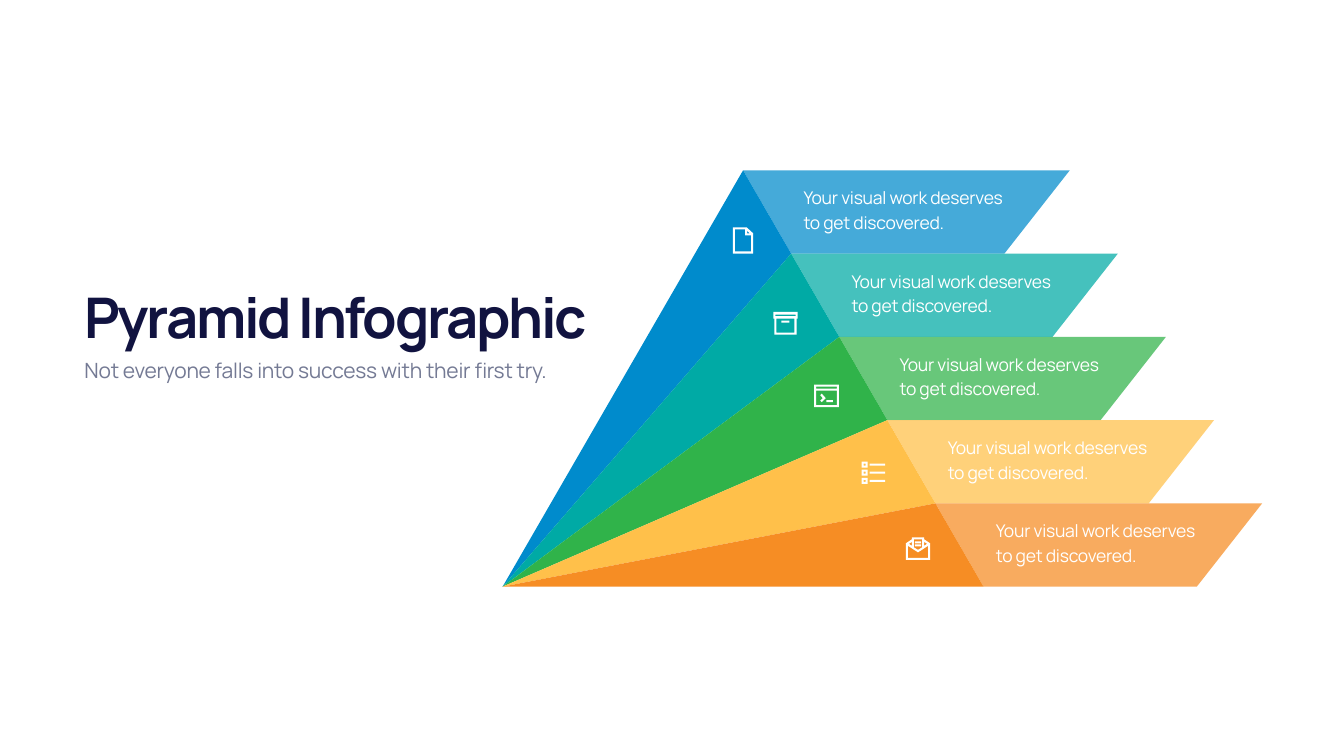
from lxml import etree
from pptx import Presentation
from pptx.dml.color import RGBColor
from pptx.enum.text import MSO_ANCHOR, MSO_AUTO_SIZE, PP_ALIGN
from pptx.oxml.ns import qn
from pptx.util import Inches, Pt

LEFT, CENTER = PP_ALIGN.LEFT, PP_ALIGN.CENTER
TOP, BOTTOM = MSO_ANCHOR.TOP, MSO_ANCHOR.BOTTOM

FONT = "Manrope"
WHITE = RGBColor(0xFF, 0xFF, 0xFF)
NAVY = RGBColor(0x11, 0x13, 0x40)
GREY = RGBColor(0x74, 0x7A, 0x94)
BLUE = RGBColor(0x00, 0x8B, 0xCC)
TEAL = RGBColor(0x00, 0xAA, 0xA5)
GREEN = RGBColor(0x30, 0xB3, 0x4A)
YELLOW = RGBColor(0xFF, 0xC0, 0x4A)
ORANGE = RGBColor(0xF6, 0x8D, 0x24)


def box(left, top, right, bottom):
    return [(left, top), (right, top), (right, bottom), (left, bottom)]


# Icon outlines in hundredths of an inch; nested outlines cut holes
DOCUMENT = [
    [(0, 0), (27, 0), (40, 12), (40, 52), (0, 52)],
    [(4, 4), (24, 4), (24, 16), (36, 16), (36, 48), (4, 48)],
    [(28, 7), (33, 12), (28, 12)],
]
ARCHIVE = [
    [(0, 0), (48, 0), (48, 13), (46, 13), (46, 45), (2, 45), (2, 13), (0, 13)],
    box(4, 5, 44, 8), box(6, 13, 42, 41), box(16, 17, 32, 21),
]
TERMINAL = [
    box(0, 0, 49, 45), box(4, 4, 45, 8), box(4, 12, 45, 41), box(24, 31, 37, 35),
    [(15, 18), (12, 21), (17, 27), (12, 32), (15, 35), (23, 27)],
]
CHECKLIST = [
    outline
    for row in (0, 16, 32)
    for outline in (box(0, row, 12, row + 12), box(4, row + 4, 8, row + 8),
                    box(16, row + 4, 47, row + 8))
]
MAIL = [
    [(12, 0), (36, 0), (36, 4), (48, 12), (48, 45), (0, 45), (0, 12), (12, 4)],
    [(4, 17), (24, 30), (44, 17), (44, 41), (4, 41)],
    [(16, 4), (32, 4), (32, 20), (24, 25), (16, 20)],
    box(18, 8, 30, 12), box(18, 14, 30, 18),
    [(36, 9), (42, 13), (36, 17)], [(12, 9), (12, 17), (6, 13)],
]

# Content: colour, label, icon, icon position
TITLE = "Pyramid Infographic"
SUBTITLE = "Not everyone falls into success with their first try."
LABEL = "Your visual work deserves to get discovered."
TIERS = [
    (BLUE, LABEL, DOCUMENT, (14.54, 4.51)),
    (TEAL, LABEL, ARCHIVE, (15.34, 6.19)),
    (GREEN, LABEL, TERMINAL, (16.15, 7.63)),
    (YELLOW, LABEL, CHECKLIST, (17.09, 9.16)),
    (ORANGE, LABEL, MAIL, (17.97, 10.66)),
]

# Pyramid geometry in inches
APEX_X, APEX_Y = 14.74, 3.38
CORNER = (9.97, 11.64)
BASE_RIGHT = 19.51
STEP_X = (BASE_RIGHT - APEX_X) / len(TIERS)
STEP_Y = (CORNER[1] - APEX_Y) / len(TIERS)
BAND_TOP, BAND_BOTTOM = 6.48, 4.23
BAND_OPACITY = 73

prs = Presentation()
prs.slide_width, prs.slide_height = Inches(26.66), Inches(15)
slide = prs.slides.add_slide(prs.slide_layouts[0])


def draw(outlines, color, opacity=100):
    """Fill one freeform made of closed outlines given in inches."""
    points = [[(Inches(x), Inches(y)) for x, y in outline] for outline in outlines]
    builder = slide.shapes.build_freeform(*points[0][0], scale=1.0)
    builder.add_line_segments(points[0][1:], close=True)
    for outline in points[1:]:
        builder.move_to(*outline[0])
        builder.add_line_segments(outline[1:], close=True)
    shape = builder.convert_to_shape()
    shape.shadow.inherit = False
    shape.line.fill.background()
    shape.fill.solid()
    shape.fill.fore_color.rgb = color
    if opacity < 100:
        tint = shape.fill._xPr.find(".//" + qn("a:srgbClr"))
        etree.SubElement(tint, qn("a:alpha"), val=str(opacity * 1000))


def write(text, at, holder=None, size=25, color=WHITE, bold=False, leading=35,
          tracking=-0.3, align=LEFT, anchor=TOP, wrap=True):
    """Write text into a placeholder or a new text box."""
    at = [Inches(length) for length in at]
    holder = holder or slide.shapes.add_textbox(*at)
    holder.left, holder.top, holder.width, holder.height = at
    frame = holder.text_frame
    frame.auto_size = MSO_AUTO_SIZE.NONE
    frame.word_wrap = wrap
    frame.vertical_anchor = anchor
    paragraph = frame.paragraphs[0]
    paragraph.alignment = align
    paragraph.line_spacing = Pt(leading)
    paragraph.space_before = Pt(0)
    run = paragraph.add_run()
    run.text = text
    run.font.name, run.font.size, run.font.bold = FONT, Pt(size), bold
    run.font.color.rgb = color
    run.font._element.set("spc", str(round(tracking * 100)))


# Title and subtitle
write(TITLE, (1.49, 5.56, 10.34, 1.42), slide.shapes.title, size=80, color=NAVY,
      bold=True, leading=94, tracking=-3.3, align=CENTER, anchor=BOTTOM, wrap=False)
write(SUBTITLE, (1.49, 7.01, 9.54, 0.6), slide.placeholders[1], size=30,
      color=GREY, leading=38.4, align=CENTER)

# Tiers: translucent band, pyramid wedge, icon and label
for index, (color, label, icon, (icon_x, icon_y)) in enumerate(TIERS):
    x, y = APEX_X + index * STEP_X, APEX_Y + index * STEP_Y
    next_x, next_y = x + STEP_X, y + STEP_Y
    draw([[(x, y), (x + BAND_TOP, y), (next_x + BAND_BOTTOM, next_y),
           (next_x, next_y)]], color, BAND_OPACITY)
    draw([[(x, y), CORNER, (next_x, next_y)]], color)
    draw([[(icon_x + dx / 100, icon_y + dy / 100) for dx, dy in outline]
          for outline in icon], WHITE)
    write(label, (x + 1.1, y + 0.22, 4.32, 1.04))

prs.save("out.pptx")
